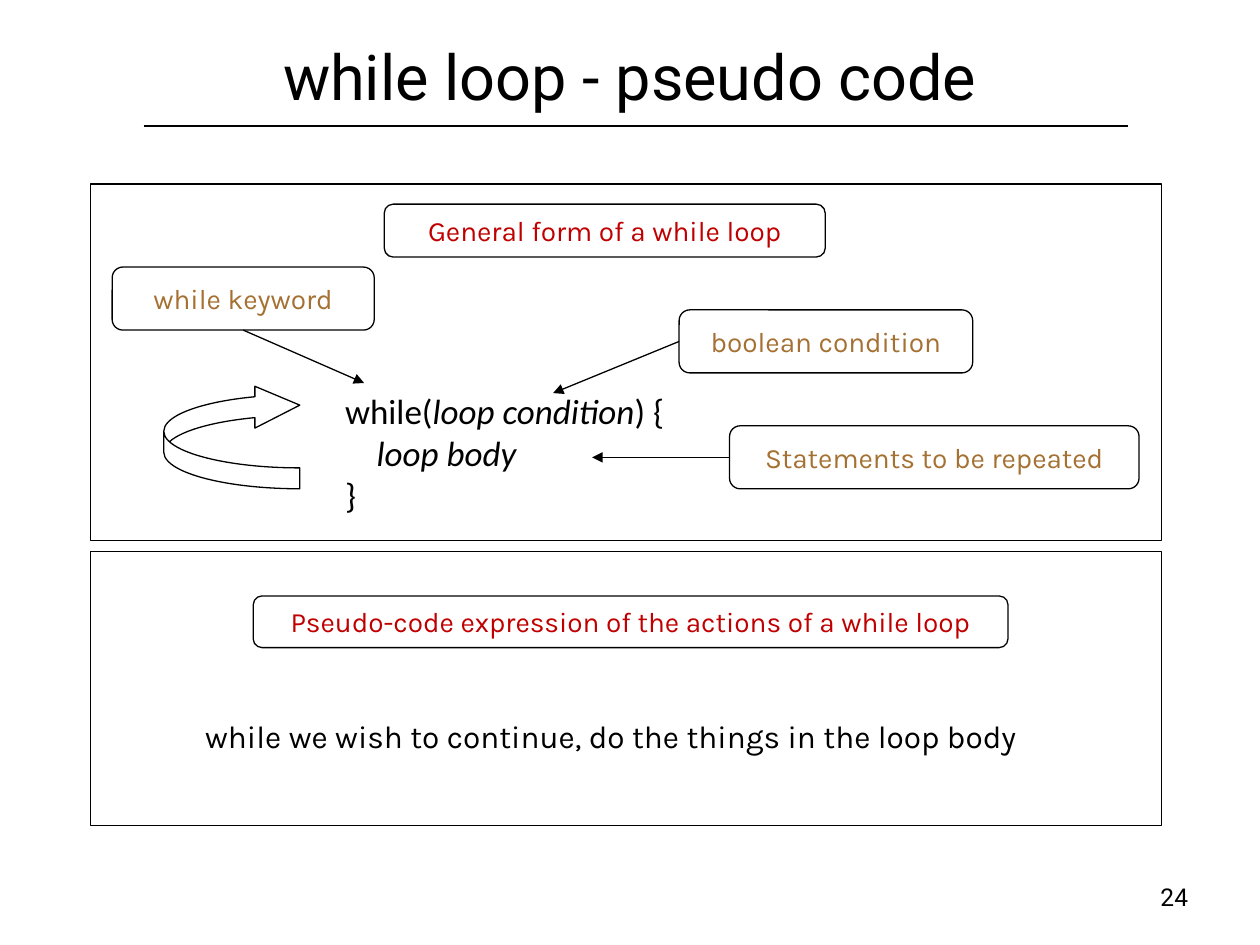
from lxml import etree
from pptx import Presentation
from pptx import util as u
from pptx.dml.color import RGBColor
from pptx.enum import shapes, text
from pptx.oxml.ns import qn

COLUMNS, ROWS = 100, 75
WIDTH, HEIGHT = u.Inches(10), u.Inches(7.5)
BLACK, RED, BROWN = "000000", "C00000", "A57133"
CENTER, LEFT = text.PP_ALIGN.CENTER, text.PP_ALIGN.LEFT
MIDDLE, TOP = text.MSO_ANCHOR.MIDDLE, text.MSO_ANCHOR.TOP
SIDE_LEFT, SIDE_BOTTOM = 1, 2


def grid(*cells):
    """Turn alternating columns and rows into slide lengths."""
    steps = (WIDTH / COLUMNS, HEIGHT / ROWS)
    return [round(cell * steps[i % 2]) for i, cell in enumerate(cells)]


def paint(color_format, color):
    """Set a colour from a hex string."""
    color_format.rgb = RGBColor.from_string(color)


def write(box, lines, font, size, color=BLACK, align=CENTER, anchor=MIDDLE,
          wrap=False, margin=None):
    """Fill a box with lines, each a list of (words, italic) spans."""
    frame = box.text_frame
    frame.word_wrap, frame.vertical_anchor = wrap, anchor
    if margin is not None:
        frame.margin_left = frame.margin_right = u.Inches(margin)
        frame.margin_top = frame.margin_bottom = u.Inches(margin)
    for index, spans in enumerate(lines):
        para = frame.add_paragraph() if index else frame.paragraphs[0]
        para.alignment = align
        para.font.name, para.font.size = font, u.Pt(size)
        paint(para.font.color, color)
        for words, italic in spans:
            span = para.add_run()
            span.text = words
            if italic:
                span.font.italic = True


def add_text(page, place, lines, font, size, **style):
    """Add a plain text box."""
    write(page.shapes.add_textbox(*grid(*place)), lines, font, size, **style)


def add_outline(page, kind, place, adjustments=()):
    """Add an unfilled shape with a thin black outline."""
    shape = page.shapes.add_shape(kind, *grid(*place))
    shape.shadow.inherit = False
    shape.fill.background()
    paint(shape.line.color, BLACK)
    shape.line.width = u.Pt(0.75)
    for index, value in enumerate(adjustments):
        shape.adjustments[index] = value
    return shape


def add_label(page, place, words, color):
    """Add a rounded label with centred text."""
    label = add_outline(page, shapes.MSO_SHAPE.ROUNDED_RECTANGLE, place, [0.17])
    write(label, [[(words, False)]], "Karla", 16, color)
    return label


def add_line(page, start, end):
    """Add a thin black straight line."""
    line = page.shapes.add_connector(shapes.MSO_CONNECTOR.STRAIGHT, *grid(*start, *end))
    paint(line.line.color, BLACK)
    line.line.width = u.Pt(0.75)
    etree.SubElement(line._element.spPr, qn("a:effectLst"))
    return line


def add_callout(page, place, words, side, target):
    """Add a brown label with an arrow from one side to a target."""
    label = add_label(page, place, words, BROWN)
    arrow = add_line(page, place[:2], target)
    arrow.begin_connect(label, side)
    etree.SubElement(arrow.line._get_or_add_ln(), qn("a:tailEnd"), type="triangle")


def add_loop_arrow(page, place):
    """Add the curved arrow, turned to lead back up to the condition."""
    arrow = add_outline(page, shapes.MSO_SHAPE.CURVED_LEFT_ARROW, place, [0.2, 0.4, 0.43])
    for flip in ("flipH", "flipV"):
        arrow._element.spPr.xfrm.set(flip, "1")


def main():
    """Build the slide and save it."""
    deck = Presentation()
    deck.slide_width, deck.slide_height = WIDTH, HEIGHT
    page = deck.slides.add_slide(deck.slide_layouts[6])

    add_line(page, (11.4, 10), (89.5, 10))
    add_text(page, (5, 0, 90, 11.9), [[("while loop - pseudo code", False)]],
             "Roboto", 36, wrap=True, margin=0.06)
    for top, height in ((14.6, 28.3), (43.8, 21.7)):
        add_outline(page, shapes.MSO_SHAPE.RECTANGLE, (7.2, top, 85, height))

    code = [[("while(", False), ("loop condition", True), (") {", False)],
            [("    ", False), ("loop body", True)],
            [("}", False)]]
    add_text(page, (26.4, 30.4, 35, 11.1), code, "Calibri", 20,
             align=LEFT, anchor=TOP, wrap=True)
    add_text(page, (15.3, 56.4, 67.2, 4),
             [[("while we wish to continue, do the things in the loop body", False)]],
             "Karla", 18, align=LEFT, anchor=TOP)

    add_label(page, (30.5, 16.2, 35, 4.2), "General form of a while loop", RED)
    add_label(page, (20.1, 47.3, 59.9, 4.1),
              "Pseudo-code expression of the actions of a while loop", RED)
    add_callout(page, (53.9, 24.6, 23.3, 5), "boolean condition", SIDE_LEFT, (43.9, 31.2))
    add_callout(page, (8.9, 21.2, 20.8, 5), "while keyword", SIDE_BOTTOM, (28.9, 30.4))
    add_callout(page, (57.9, 33.8, 32.5, 5), "Statements to be repeated",
                SIDE_LEFT, (47, 36.3))
    add_loop_arrow(page, (13, 30.5, 10.8, 8.3))
    add_text(page, (91.5, 69.4, 3.4, 3.4), [[("24", False)]], "Roboto", 14,
             anchor=TOP, margin=0.06)
    deck.save("out.pptx")


if __name__ == "__main__":
    main()
